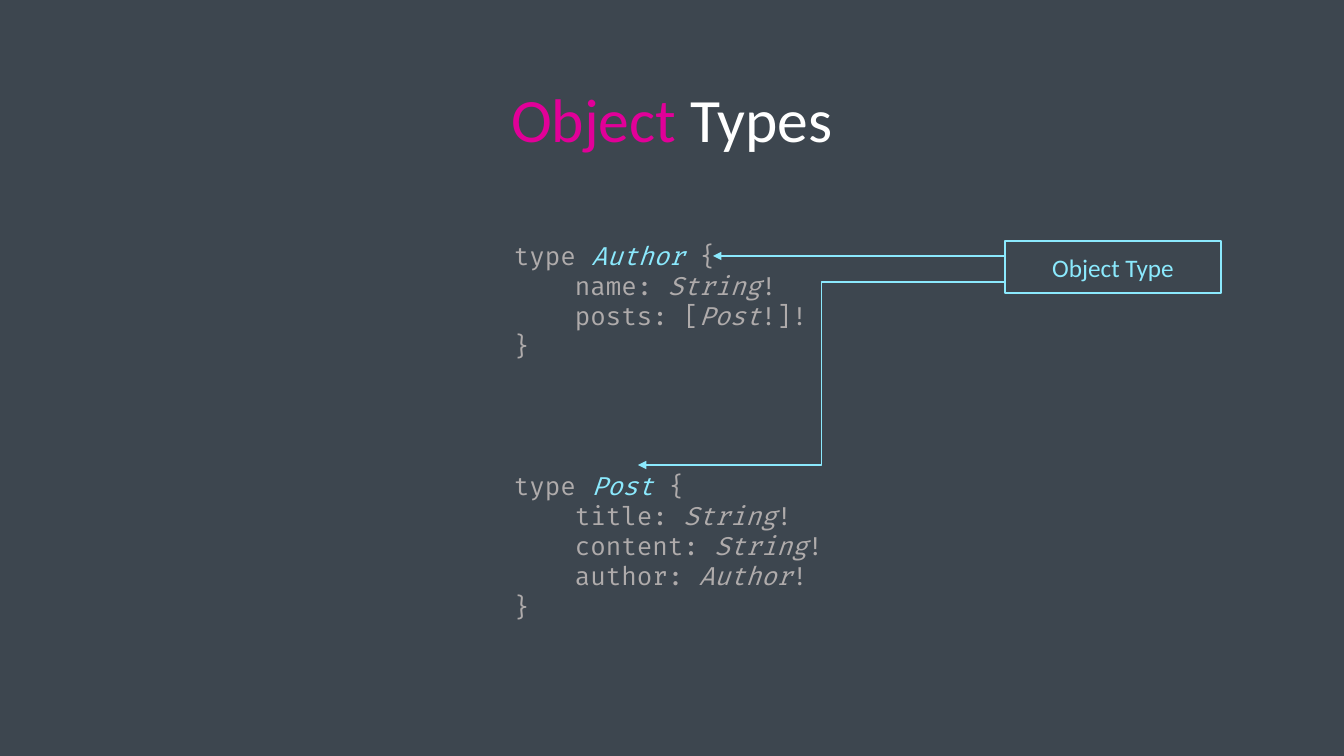
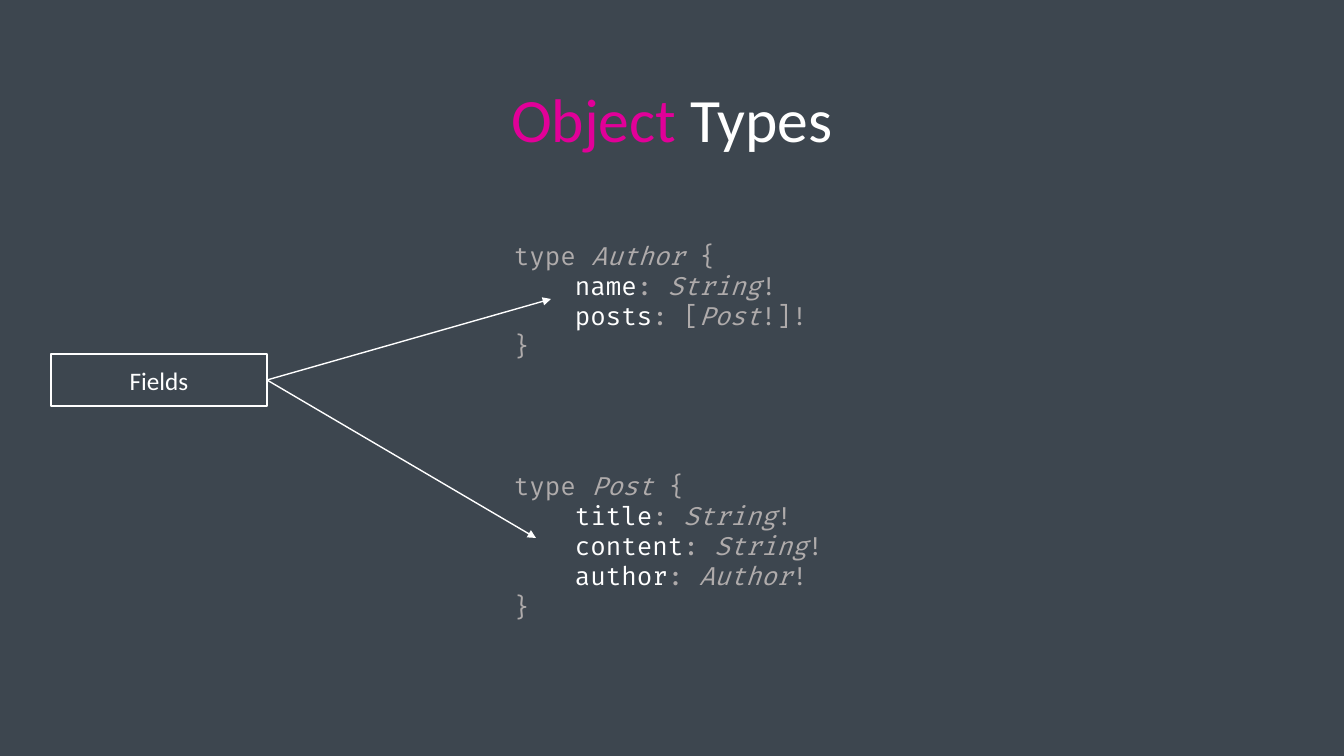
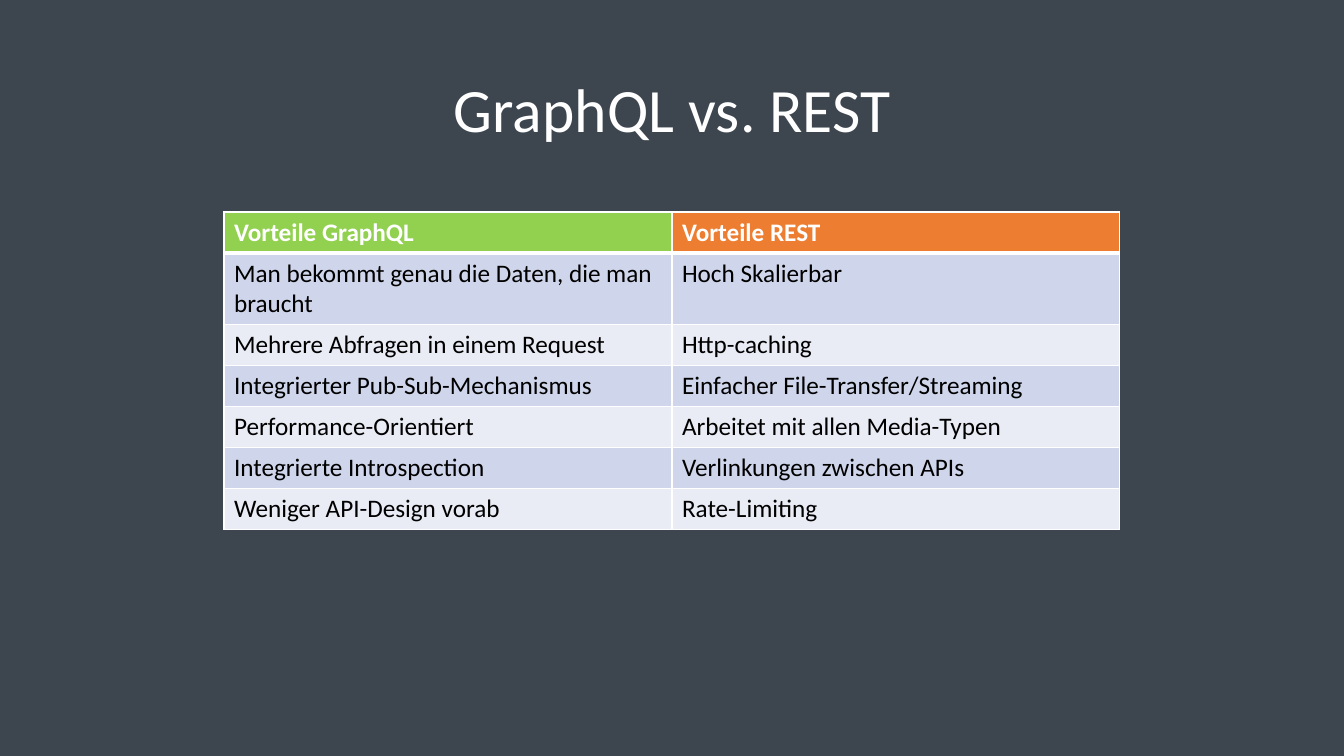
"""Builds three slides on GraphQL object types and a comparison with REST."""
from dataclasses import dataclass
from typing import Optional

from lxml.etree import SubElement
from pptx import Presentation
from pptx.dml.color import RGBColor
from pptx.enum.shapes import MSO_CONNECTOR as Connector, MSO_SHAPE as Preset
from pptx.enum.text import MSO_ANCHOR as Anchor, MSO_AUTO_SIZE as AutoSize, PP_ALIGN as Align
from pptx.oxml.ns import qn
from pptx.util import Emu, Pt

SLIDE_SIZE = (1344, 756)
EMU_PER_PX = 914400 / 100.8
BODY_FONT, CODE_FONT = "Calibri", "Fira Code"
BACKGROUND, WHITE, BLACK = "3D464F", "FFFFFF", "000000"
PINK, CYAN, GREY = "E10098", "8BE9FD", "AFABAB"
GREEN, ORANGE = "92D050", "ED7D31"
BANDS = ("CFD5EA", "E9EBF5")
CODE_LEFT, CODE_WIDTH, CODE_INDENT = 504, 380, 61
LABEL_SIZE = (216, 52)
TABLE_LEFT, TABLE_TOP, COLUMN_WIDTH, ROW_HEIGHT = 224, 212, 448, 41
RIGHT_SIDE = 3


@dataclass(frozen=True)
class Run:
    text: str
    colour: str
    italic: bool = False


@dataclass(frozen=True)
class Field:
    name: str
    type_name: str
    before: str = ": "
    after: str = "!"


@dataclass(frozen=True)
class TypeBlock:
    name: str
    top: int
    height: int
    fields: tuple[Field, ...]


TYPE_BLOCKS = (
    TypeBlock("Author", 235, 132, (
        Field("name", "String"),
        Field("posts", "Post", ": [", "!]!"),
    )),
    TypeBlock("Post", 465, 163, (
        Field("title", "String"),
        Field("content", "String"),
        Field("author", "Author"),
    )),
)
OBJECT_TITLE = (Run("Object ", PINK), Run("Types", WHITE))
COMPARISON = (
    ("Vorteile GraphQL", "Vorteile REST"),
    ("Man bekommt genau die Daten, die man braucht", "Hoch Skalierbar"),
    ("Mehrere Abfragen in einem Request", "Http-caching"),
    ("Integrierter Pub-Sub-Mechanismus", "Einfacher File-Transfer/Streaming"),
    ("Performance-Orientiert", "Arbeitet mit allen Media-Typen"),
    ("Integrierte Introspection", "Verlinkungen zwischen APIs"),
    ("Weniger API-Design vorab", "Rate-Limiting"),
)


def px(*lengths: int) -> list[Emu]:
    return [Emu(round(length * EMU_PER_PX)) for length in lengths]


def paint(target, colour: str) -> None:
    if hasattr(target, "solid"):
        target.solid()
        target = target.fore_color
    target.rgb = RGBColor.from_string(colour)


def set_font(paragraph, name: str, size: int, colour: Optional[str] = None, bold: bool = False) -> None:
    font = paragraph.font
    font.name, font.size, font.bold = name, Pt(size), bold
    if colour:
        paint(font.color, colour)


def add_runs(paragraph, runs: tuple[Run, ...]) -> None:
    for item in runs:
        run = paragraph.add_run()
        run.text = item.text
        run.font.italic = item.italic
        paint(run.font.color, item.colour)


def add_titled_slide(presentation, runs: tuple[Run, ...], left: int, top: int, width: int):
    slide = presentation.slides.add_slide(presentation.slide_layouts[5])
    title = slide.shapes.title
    title.left, title.top, title.width, title.height = px(left, top, width, 146)
    title.text_frame.vertical_anchor = Anchor.MIDDLE
    paragraph = title.text_frame.paragraphs[0]
    paragraph.alignment, paragraph.line_spacing = Align.CENTER, 0.9
    set_font(paragraph, BODY_FONT, 44)
    add_runs(paragraph, runs)
    return slide


def add_label(slide, text: str, colour: str, left: int, top: int):
    label = slide.shapes.add_shape(Preset.RECTANGLE, *px(left, top, *LABEL_SIZE))
    label.shadow.inherit = False
    label.fill.background()
    label.line.width = Pt(1)
    paint(label.line.color, colour)
    label.text_frame.vertical_anchor = Anchor.MIDDLE
    paragraph = label.text_frame.paragraphs[0]
    paragraph.text, paragraph.alignment = text, Align.CENTER
    set_font(paragraph, BODY_FONT, 18, colour)
    return label


def add_arrow(slide, start: tuple[int, int], end: tuple[int, int], colour: str,
              kind=Connector.STRAIGHT):
    arrow = slide.shapes.add_connector(kind, *px(*start, *end))
    arrow.line.width = Pt(1)
    paint(arrow.line.color, colour)
    properties = arrow.element.spPr
    SubElement(properties.find(qn("a:ln")), qn("a:tailEnd"), type="triangle")
    SubElement(properties, qn("a:effectLst"))
    return arrow


def add_code(slide, block: TypeBlock, type_colour: str, field_colour: str) -> None:
    box = slide.shapes.add_textbox(*px(CODE_LEFT, block.top, CODE_WIDTH, block.height))
    frame = box.text_frame
    frame.word_wrap, frame.auto_size = True, AutoSize.SHAPE_TO_FIT_TEXT
    header = (Run("type ", GREY), Run(block.name, type_colour, True), Run(" {", GREY))
    body = [
        (Run(field.name, field_colour), Run(field.before, GREY),
         Run(field.type_name, GREY, True), Run(field.after, GREY))
        for field in block.fields
    ]
    lines = [header, *body, (Run("}", GREY),)]
    for number, runs in enumerate(lines):
        paragraph = frame.add_paragraph() if number else frame.paragraphs[0]
        if runs in body:
            paragraph._p.get_or_add_pPr().set("marL", str(px(CODE_INDENT)[0]))
        set_font(paragraph, CODE_FONT, 18)
        add_runs(paragraph, runs)


def add_object_slide(presentation, type_colour: str, field_colour: str):
    slide = add_titled_slide(presentation, OBJECT_TITLE, 193, 50, 958)
    for block in TYPE_BLOCKS:
        add_code(slide, block, type_colour, field_colour)
    return slide


def set_borders(cell, row: int) -> None:
    properties = cell._tc.get_or_add_tcPr()
    widths = {"L": 1, "R": 1, "T": 3 if row == 1 else 1, "B": 3 if row == 0 else 1}
    for side, width in widths.items():
        line = SubElement(properties, qn(f"a:ln{side}"), w=str(Pt(width)))
        SubElement(SubElement(line, qn("a:solidFill")), qn("a:srgbClr"), val=WHITE)


def add_comparison(slide) -> None:
    rows, columns = len(COMPARISON), len(COMPARISON[0])
    table = slide.shapes.add_table(rows, columns, *px(
        TABLE_LEFT, TABLE_TOP, columns * COLUMN_WIDTH, rows * ROW_HEIGHT)).table
    for row, texts in enumerate(COMPARISON):
        table.rows[row].height = px(ROW_HEIGHT)[0]
        for column, text in enumerate(texts):
            cell = table.cell(row, column)
            set_borders(cell, row)
            paint(cell.fill, BANDS[(row - 1) % 2] if row else (GREEN, ORANGE)[column])
            paragraph = cell.text_frame.paragraphs[0]
            paragraph.text = text
            set_font(paragraph, BODY_FONT, 18, BLACK if row else WHITE, bold=row == 0)


def main() -> None:
    presentation = Presentation()
    presentation.slide_width, presentation.slide_height = px(*SLIDE_SIZE)
    paint(presentation.slide_master.background.fill, BACKGROUND)

    types_slide = add_object_slide(presentation, CYAN, GREY)
    add_label(types_slide, "Object Type", CYAN, 1005, 241)
    add_arrow(types_slide, (1005, 256), (713, 256), CYAN)
    add_arrow(types_slide, (1005, 282), (638, 465), CYAN, Connector.ELBOW)

    fields_slide = add_object_slide(presentation, GREY, WHITE)
    fields_label = add_label(fields_slide, "Fields", WHITE, 51, 354)
    for end in ((536, 538), (551, 299)):
        arrow = add_arrow(fields_slide, (267, 380), end, WHITE)
        arrow.begin_connect(fields_label, RIGHT_SIDE)

    comparison_slide = add_titled_slide(
        presentation, (Run("GraphQL vs. REST", WHITE),), 93, 40, 1159)
    add_comparison(comparison_slide)

    presentation.save("out.pptx")


if __name__ == "__main__":
    main()
